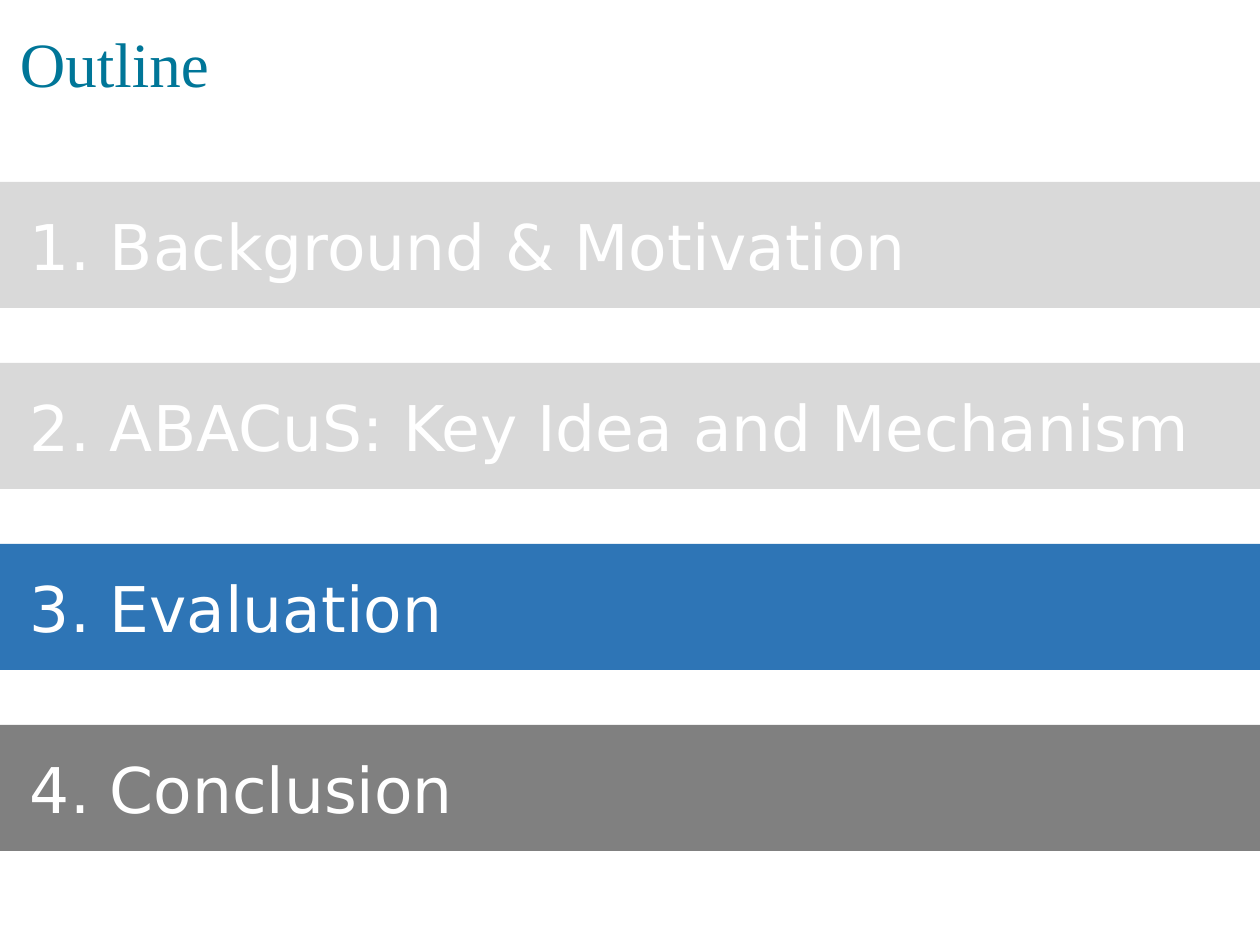
"""Build an outline slide with four section bars, the current one highlighted."""
from pptx import Presentation
from pptx import util as u
from pptx.dml.color import RGBColor
from pptx.enum import shapes, text

PX = 914400 / 126
WIDTH, HEIGHT = 1260, 945
TITLE_HEIGHT = 134
BAR_TOP, BAR_HEIGHT, BAR_PITCH = 182, 126, 181
TEAL = RGBColor(0x00, 0x76, 0x98)
WHITE = RGBColor(0xFF, 0xFF, 0xFF)
LIGHT_GRAY = RGBColor(0xD9, 0xD9, 0xD9)
BLUE = RGBColor(0x2E, 0x75, 0xB6)
GRAY = RGBColor(0x80, 0x80, 0x80)


def px(length):
    """Turn px into EMU."""
    return u.Emu(round(length * PX))


def write(shape, wording, font_name, color, left_margin):
    """Write one left-aligned, vertically centred line into a shape."""
    frame = shape.text_frame
    frame.word_wrap = True
    frame.vertical_anchor = text.MSO_ANCHOR.MIDDLE
    frame.margin_left = px(left_margin)
    paragraph = frame.paragraphs[0]
    paragraph.alignment = text.PP_ALIGN.LEFT
    run = paragraph.add_run()
    run.text = wording
    run.font.name = font_name
    run.font.size = u.Pt(36)
    run.font.color.rgb = color
    return paragraph


presentation = Presentation()
presentation.slide_width = px(WIDTH)
presentation.slide_height = px(HEIGHT)
slide = presentation.slides.add_slide(presentation.slide_layouts[6])

title = slide.shapes.add_textbox(0, 0, px(WIDTH), px(TITLE_HEIGHT))
title_paragraph = write(title, "Outline", "Times New Roman", TEAL, 20)
title_paragraph.line_spacing = 0.9

sections = [
    ("1. Background & Motivation", LIGHT_GRAY),
    ("2. ABACuS: Key Idea and Mechanism", LIGHT_GRAY),
    ("3. Evaluation", BLUE),
    ("4. Conclusion", GRAY),
]
for index, (wording, color) in enumerate(sections):
    bar = slide.shapes.add_shape(
        shapes.MSO_SHAPE.RECTANGLE,
        0, px(BAR_TOP + index * BAR_PITCH), px(WIDTH), px(BAR_HEIGHT),
    )
    bar.shadow.inherit = False
    bar.fill.solid()
    bar.fill.fore_color.rgb = color
    bar.line.fill.background()
    write(bar, wording, "DejaVu Sans", WHITE, 30)

presentation.save("out.pptx")
